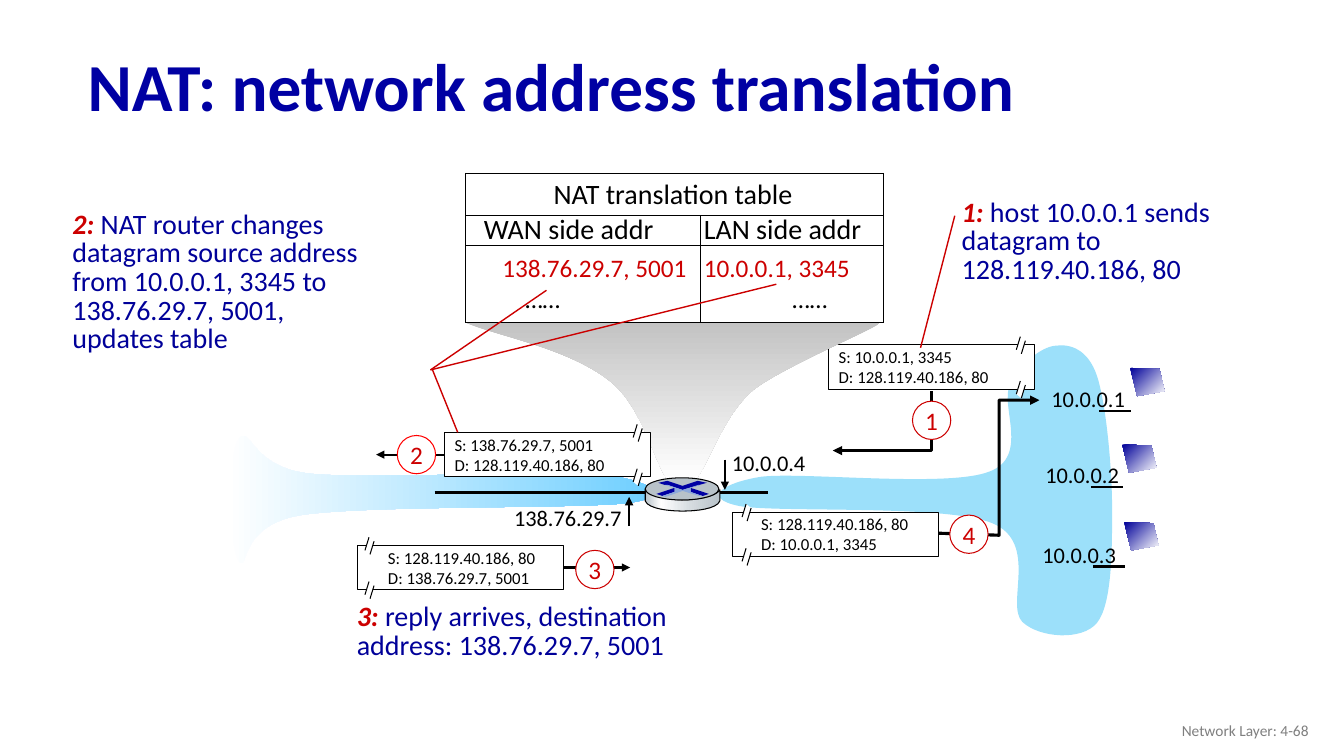
from lxml import etree
from pptx import Presentation
from pptx.enum import shapes, text
from pptx.oxml import parse_xml
from pptx.oxml.ns import nsdecls, qn
from pptx.dml.color import RGBColor
from pptx.util import Inches, Pt

# Content
COLORS = {"black": "000000", "white": "FFFFFF", "title": "0000A3", "blue": "000099", "red": "CC0000",
          "ring": "FF0000", "lan": "9CE0FA", "wan": "66CCFF", "fan": "BFBFBF", "gray": "7F7F7F",
          "steel": "B8C2C9", "silver": "D6DCE0", "cross": "8DA9DB"}
TITLE = "NAT: network address translation"
FOOTER = "Network Layer: 4-68"
# Table rows: height, size, anchor, color, then text, alignment and side margin of each cell
TABLE_ROWS = [
    (0.42, 20, "MIDDLE", "black", [("NAT translation table", "CENTER", 0.03)]),
    (0.30, 20, "MIDDLE", "black", [("WAN side addr", "LEFT", 0.18), ("LAN side addr", "LEFT", 0.03)]),
    (0.38, 18, "BOTTOM", "red", [("138.76.29.7, 5001", "RIGHT", 0.14), ("10.0.0.1, 3345", "LEFT", 0.03)]),
    (0.38, 18, "TOP", "black", [("……", "LEFT", 0.59), ("……", "LEFT", 0.91)]),
]
# Notes: box, number, paragraphs
NOTES = [
    ((9.44, 1.93, 3.36, 0.96), "1: ", ["host 10.0.0.1 sends datagram to 128.119.40.186, 80"]),
    ((0.62, 2.05, 3.45, 1.53), "2: ", ["NAT router changes datagram source address from "
                                       "10.0.0.1, 3345 to 138.76.29.7, 5001,", "updates table"]),
    ((3.44, 5.94, 3.89, 0.68), "3: ", ["reply arrives, destination address: 138.76.29.7, 5001"]),
]
# Packets: number, source, destination, corner, text indent, break offset, arrow from its tip, circle, ring
PACKETS = [
    ("1", "S: 10.0.0.1, 3345", "D: 128.119.40.186, 80", (8.22, 3.42), 0, 1.86,
     [(8.26, 4.47), (9.24, 4.47), (9.24, 3.88)], (9.05, 3.98), "red"),
    ("4", "S: 128.119.40.186, 80", "D: 10.0.0.1, 3345", (7.27, 5.08), 0.18, 0.09,
     [(10.31, 3.97), (9.91, 3.97), (9.91, 5.31), (9.31, 5.29)], (9.42, 5.11), "red"),
    ("2", "S: 138.76.29.7, 5001", "D: 128.119.40.186, 80", (4.41, 4.29), 0, 1.87,
     [(3.73, 4.51)], (3.94, 4.32), "ring"),
    ("3", "S: 128.119.40.186, 80", "D: 138.76.29.7, 5001", (3.55, 5.41), 0.2, 0.07,
     [(6.25, 5.63)], (5.71, 5.46), "red"),
]
# Hosts: address, label corner, monitor corner, underline start
HOSTS = [
    ("10.0.0.1", (10.33, 3.77), (11.21, 3.65), (10.9, 4.08)),
    ("10.0.0.2", (10.27, 4.53), (11.13, 4.41), (10.82, 4.83)),
    ("10.0.0.3", (10.24, 5.32), (11.15, 5.18), (10.84, 5.62)),
]
INTERFACES = [("10.0.0.4", (7.16, 4.41, 0.94, 0.37)), ("138.76.29.7", (5, 4.95, 1.3, 0.37))]
NOTE_LINES = [(4.29, 3.67, 4.54, 4.29), (4.27, 3.67, 5.42, 2.88), (4.27, 3.67, 7.7, 2.82)]
INTERFACE_ARROWS = [(6.24, 5.22, 6.24, 4.93), (7.19, 4.56, 7.19, 4.86)]
# Outlines: start point, then two numbers for a line or six for a curve
WAN_CLOUD = [(5.98, 4.71), (5.45, 4.66, 3.68, 4.76, 3.08, 4.7), (2.48, 4.64, 2.49, 4.21, 2.37, 4.35),
             (2.25, 4.5, 2.27, 5.44, 2.37, 5.57), (2.47, 5.69, 2.35, 5.21, 2.99, 5.11),
             (3.63, 5.01, 5.73, 5.05, 6.23, 4.99), (6.73, 4.92, 6.41, 4.76, 5.98, 4.71)]
LAN_CLOUD = [(7.55, 4.73), (7.96, 4.68, 9.4, 4.84, 9.81, 4.68), (10.22, 4.53, 9.91, 4.02, 10.02, 3.81),
             (10.13, 3.6, 10.33, 3.44, 10.47, 3.43), (10.61, 3.41, 10.79, 3.46, 10.88, 3.73),
             (10.97, 4, 11.03, 4.64, 11.03, 5.05), (11.03, 5.46, 11.03, 5.99, 10.88, 6.18),
             (10.73, 6.36, 10.31, 6.33, 10.14, 6.17), (9.97, 6, 10.31, 5.38, 9.84, 5.19),
             (9.38, 5, 7.71, 5.09, 7.33, 5.02), (6.95, 4.94, 7.17, 4.79, 7.55, 4.73)]
FAN = [(4.62, 3.2), (4.62, 3.2, 8.23, 3.09, 8.71, 3.2), (8.85, 3.19, 7.77, 3.63, 7.47, 3.87),
       (7.17, 4.12, 7.02, 4.63, 6.89, 4.77), (6.63, 4.77), (6.49, 4.6, 6.38, 4.04, 6.05, 3.78),
       (5.63, 3.45, 4.95, 3.34, 4.62, 3.2)]
ROUTER_SIDE = [(7.14, 4.86), (7.14, 4.97), (7.11, 5.05, 6.9, 5.07, 6.77, 5.07),
               (6.65, 5.07, 6.43, 5.05, 6.4, 4.97), (6.4, 4.85), (6.44, 4.92, 6.65, 4.96, 6.77, 4.96),
               (6.89, 4.96, 7.1, 4.93, 7.14, 4.86)]
ROUTER_MARKS = [
    ("title", [(6.92, 4.77), (7.01, 4.79), (6.94, 4.81), (6.77, 4.86), (6.62, 4.81), (6.59, 4.81),
               (6.53, 4.79), (6.62, 4.77), (6.77, 4.82)]),
    ("title", [(6.85, 4.84), (7.03, 4.9), (6.97, 4.92), (6.85, 4.88)]),
    ("title", [(6.69, 4.84), (6.69, 4.88), (6.57, 4.92), (6.51, 4.9)]),
    ("cross", [(6.59, 4.81), (6.62, 4.81), (6.77, 4.86), (6.93, 4.81), (6.95, 4.81), (6.85, 4.84),
               (6.85, 4.88), (6.96, 4.92), (6.93, 4.92), (6.77, 4.87), (6.6, 4.93), (6.57, 4.92),
               (6.69, 4.88), (6.69, 4.84)]),
]
MONITOR = [(0, 0), (0.29, 0.01), (0.34, 0.23), (0.07, 0.28)]
BREAK = [(0.04, 0), (0, 0.13), (0.05, 0.17), (0.09, 0.04)]

presentation = Presentation()
presentation.slide_width, presentation.slide_height = Inches(13.33), Inches(7.5)
slide = presentation.slides.add_slide(presentation.slide_layouts[5])


# Helpers
def rgb(name):
    return RGBColor.from_string(COLORS[name])


def style_font(font, size, color, bold=False, italic=False):
    font.name, font.size, font.bold, font.italic = "Calibri", Pt(size), bold, italic
    font.color.rgb = rgb(color)


def paint(shape, fill=None, line=None, width=0.75, angle=0):
    """Fill with a color name, or with a gradient given as (position, color) pairs."""
    shape.shadow.inherit = False
    shape.fill.background()
    if isinstance(fill, list):
        stops = "".join(f'<a:gs pos="{position * 1000}"><a:srgbClr val="{COLORS[color]}"/></a:gs>'
                        for position, color in fill)
        properties = shape.element.spPr
        properties.replace(properties.find(qn("a:noFill")), parse_xml(
            f'<a:gradFill {nsdecls("a")} rotWithShape="1"><a:gsLst>{stops}</a:gsLst>'
            f'<a:lin ang="{angle * 60000}" scaled="0"/></a:gradFill>'))
    elif fill:
        shape.fill.solid()
        shape.fill.fore_color.rgb = rgb(fill)
    if line:
        shape.line.color.rgb, shape.line.width = rgb(line), Pt(width)
    else:
        shape.line.fill.background()
    return shape


def add_outline(segments, close=True, **look):
    points = [(Inches(segment[i]), Inches(segment[i + 1]))
              for segment in segments for i in range(0, len(segment), 2)]
    builder = slide.shapes.build_freeform(*points[0], scale=1.0)
    builder.add_line_segments(points[1:], close=close)
    shape = builder.convert_to_shape()
    # Join the three points of each curve into one Bézier segment
    lines = iter(list(shape.element.spPr.iter(qn("a:lnTo"))))
    for segment in segments[1:]:
        steps = [next(lines) for _ in range(len(segment) // 2)]
        if len(steps) == 3:
            curve = etree.Element(qn("a:cubicBezTo"))
            steps[0].addprevious(curve)
            for step in steps:
                curve.append(step[0])
                step.getparent().remove(step)
    return paint(shape, **look)


def add_arrowhead(shape, end):
    etree.SubElement(shape.element.spPr.find(qn("a:ln")), qn(f"a:{end}End")).set("type", "triangle")


def add_line(x1, y1, x2, y2, color="black", width=0.75, arrow=False):
    line = slide.shapes.add_connector(shapes.MSO_CONNECTOR.STRAIGHT, *map(Inches, (x1, y1, x2, y2)))
    line.line.color.rgb, line.line.width = rgb(color), Pt(width)
    if arrow:
        add_arrowhead(line, "tail")
    etree.SubElement(line.element.spPr, qn("a:effectLst"))
    return line


def add_shape(kind, box, **look):
    return paint(slide.shapes.add_shape(kind, *map(Inches, box)), **look)


def add_text(box, lines, size, color="black", align="LEFT"):
    frame = slide.shapes.add_textbox(*map(Inches, box)).text_frame
    frame.word_wrap = True
    frame.text = "\n".join(lines)
    for paragraph in frame.paragraphs:
        paragraph.alignment = getattr(text.PP_ALIGN, align)
        style_font(paragraph.font, size, color)
    return frame


def add_note(box, number, lines):
    frame = add_text(box, lines, 20, "blue")
    for paragraph in frame.paragraphs:
        paragraph.line_spacing = 0.85
    first = frame.paragraphs[0]
    first.clear()
    for words, color, strong in ((number, "red", True), (lines[0], "blue", False)):
        run = first.add_run()
        run.text = words
        style_font(run.font, 20, color, strong, strong)


def add_packet(number, source, destination, corner, indent, break_x, arrow, circle, ring):
    left, top = corner
    box = add_shape(shapes.MSO_SHAPE.RECTANGLE, (left, top, 2.04, 0.44), fill="white", line="black")
    add_text((left + indent, top - 0.03, 1.93, 0.5), [source, destination], 12)
    for break_y in (-0.08, 0.36):
        corners = [(left + break_x + x, top + break_y + y) for x, y in BREAK]
        add_outline(corners, fill="white")
        add_line(*corners[0], *corners[1])
        add_line(*corners[3], *corners[2])
    if len(arrow) == 1:
        line = add_line(left, top, *arrow[0], width=1.5, arrow=True)
        line.begin_connect(box, 1 if arrow[0][0] < left else 3)
    else:
        add_arrowhead(add_outline(arrow, close=False, line="black", width=2.25), "head")
    badge = add_shape(shapes.MSO_SHAPE.OVAL, (*circle, 0.38, 0.38), fill="white", line=ring)
    frame = badge.text_frame
    frame.margin_left = frame.margin_right = frame.margin_top = frame.margin_bottom = 0
    frame.text = number
    frame.paragraphs[0].alignment = text.PP_ALIGN.CENTER
    style_font(frame.paragraphs[0].font, 18, "red")


def add_translation_table():
    table = slide.shapes.add_table(4, 2, *map(Inches, (4.62, 1.72, 4.14, 1.48))).table
    table.first_row = table.horz_banding = False
    table.columns[0].width, table.columns[1].width = Inches(2.33), Inches(1.81)
    table.cell(0, 0).merge(table.cell(0, 1))
    for row, (height, size, anchor, color, entries) in enumerate(TABLE_ROWS):
        table.rows[row].height = Inches(height)
        for column in range(2):
            cell = table.cell(row, column)
            words, align, margin = entries[column] if column < len(entries) else ("", "LEFT", 0)
            cell.margin_top = cell.margin_bottom = 0
            cell.margin_left = Inches(margin if align == "LEFT" else 0)
            cell.margin_right = Inches(0 if align == "LEFT" else margin)
            cell.vertical_anchor = getattr(text.MSO_ANCHOR, anchor)
            cell.fill.solid()
            cell.fill.fore_color.rgb = rgb("white")
            paragraph = cell.text_frame.paragraphs[0]
            paragraph.text = words
            paragraph.alignment = getattr(text.PP_ALIGN, align)
            paragraph.line_spacing = 0.85 if row == 1 else 1.0
            style_font(paragraph.font, size, color)
            borders = [("L", True), ("R", True), ("T", row < 3), ("B", row != 2)]
            for index, (side, drawn) in enumerate(borders):
                ink = f'<a:solidFill><a:srgbClr val="{COLORS["black"]}"/></a:solidFill>'
                cell._tc.tcPr.insert(index, parse_xml(
                    f'<a:ln{side} {nsdecls("a")} w="9525">{ink if drawn else "<a:noFill/>"}</a:ln{side}>'))


# Title
title = slide.shapes.title
title.left, title.top, title.width, title.height = map(Inches, (0.77, 0.31, 11.5, 1.17))
title.text_frame.text = TITLE
title.text_frame.vertical_anchor = text.MSO_ANCHOR.MIDDLE
heading = title.text_frame.paragraphs[0]
heading.alignment, heading.line_spacing = text.PP_ALIGN.LEFT, 0.9
style_font(heading.font, 48, "title", bold=True)

# Networks, first packet, and the table with its fan
add_outline(WAN_CLOUD, fill=[(0, "white"), (100, "wan")])
add_outline(LAN_CLOUD, fill="lan")
add_packet(*PACKETS[0])
add_line(9.47, 2.14, 9.13, 3.45, "red", 1)
add_outline(FAN, fill=[(0, "fan"), (100, "white")], angle=90)
add_translation_table()

# Other packets and the notes
for packet in PACKETS[1:]:
    add_packet(*packet)
for note in NOTES:
    add_note(*note)
for ends in NOTE_LINES:
    add_line(*ends, "red", 1)

# Hosts
for address, label, (left, top), (x, y) in HOSTS:
    add_text((*label, 0.94, 0.37), [address], 16)
    add_outline([(left + dx, top + dy) for dx, dy in MONITOR], fill=[(0, "blue"), (100, "white")], angle=45)
    add_line(x, y, x + 0.32, y, width=1.5)

# Router and its interfaces
add_line(4.31, 4.89, 7.62, 4.89, width=2)
add_outline(ROUTER_SIDE, fill=[(0, "steel"), (21, "white"), (60, "silver"), (100, "steel")], line="black")
add_shape(shapes.MSO_SHAPE.OVAL, (6.4, 4.74, 0.73, 0.22), fill="steel", line="black")
for color, mark in ROUTER_MARKS:
    add_outline(mark, fill=color)
for address, box in INTERFACES:
    add_text(box, [address], 16)
for ends in INTERFACE_ARROWS:
    add_line(*ends, width=1.5, arrow=True)

# Footer
footer = add_text((10.08, 7.05, 3, 0.4), [FOOTER], 11, "gray", "RIGHT")
footer.vertical_anchor = text.MSO_ANCHOR.MIDDLE

presentation.save("out.pptx")
